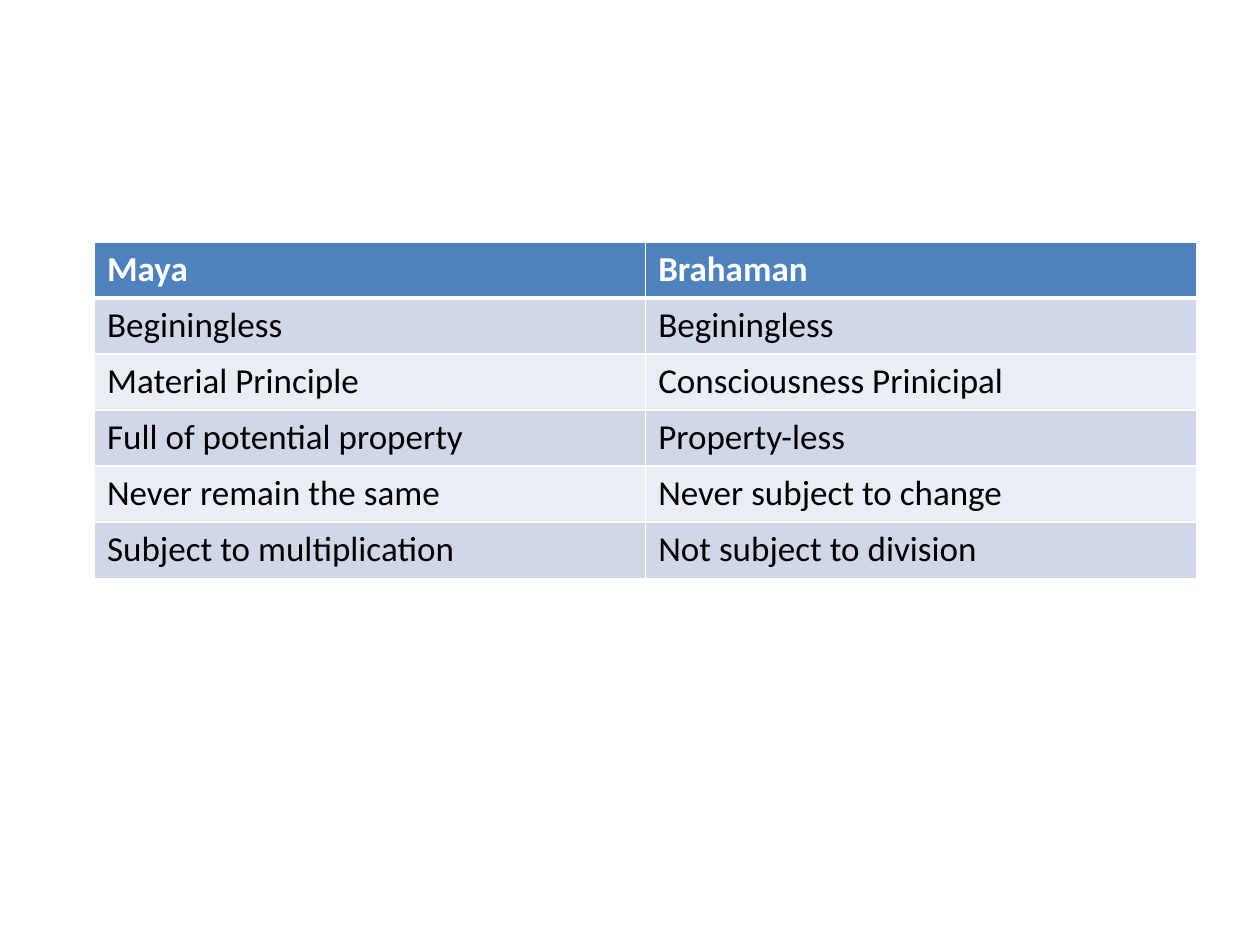
import pptx
import pptx.util
import pptx.dml.color
import lxml.etree
from pptx.util import Inches

# Content: header row first
ROWS = [
    ("Maya", "Brahaman"),
    ("Beginingless", "Beginingless"),
    ("Material Principle", "Consciousness Prinicipal"),
    ("Full of potential property", "Property-less"),
    ("Never remain the same", "Never subject to change"),
    ("Subject to multiplication", "Not subject to division"),
]
HEAD, BANDS = "4F81BD", ("E9EDF4", "D0D8E8")
WHITE, BLACK = "FFFFFF", "000000"
NS = "http://schemas.openxmlformats.org/drawingml/2006/main"


def paint(color, code):
    color.rgb = pptx.dml.color.RGBColor.from_string(code)


def edge(cell, side, width):
    """Draw one white cell border, width in points."""
    props = cell._tc.get_or_add_tcPr()
    line = lxml.etree.SubElement(props, f"{{{NS}}}ln{side}", w=str(pptx.util.Pt(width)))
    fill = lxml.etree.SubElement(line, f"{{{NS}}}solidFill")
    lxml.etree.SubElement(fill, f"{{{NS}}}srgbClr", val=WHITE)


deck = pptx.Presentation()
deck.slide_width, deck.slide_height = Inches(10), Inches(7.5)
slide = deck.slides.add_slide(deck.slide_layouts[6])

# Comparison table, with equal rows and columns
table = slide.shapes.add_table(
    len(ROWS), len(ROWS[0]), Inches(0.75), Inches(1.92), Inches(8.75), Inches(2.67)
).table

for r, row in enumerate(ROWS):
    top = r == 0
    for c, text in enumerate(row):
        cell = table.cell(r, c)
        # Borders, with a thick rule under the header
        for side in "LRTB":
            thick = (top and side == "B") or (r == 1 and side == "T")
            edge(cell, side, 3 if thick else 1)
        cell.fill.solid()
        paint(cell.fill.fore_color, HEAD if top else BANDS[r % 2])
        # Text
        cell.text_frame.text = text
        font = cell.text_frame.paragraphs[0].runs[0].font
        font.name, font.size, font.bold = "Calibri", pptx.util.Pt(20), top
        paint(font.color, WHITE if top else BLACK)

deck.save("out.pptx")
